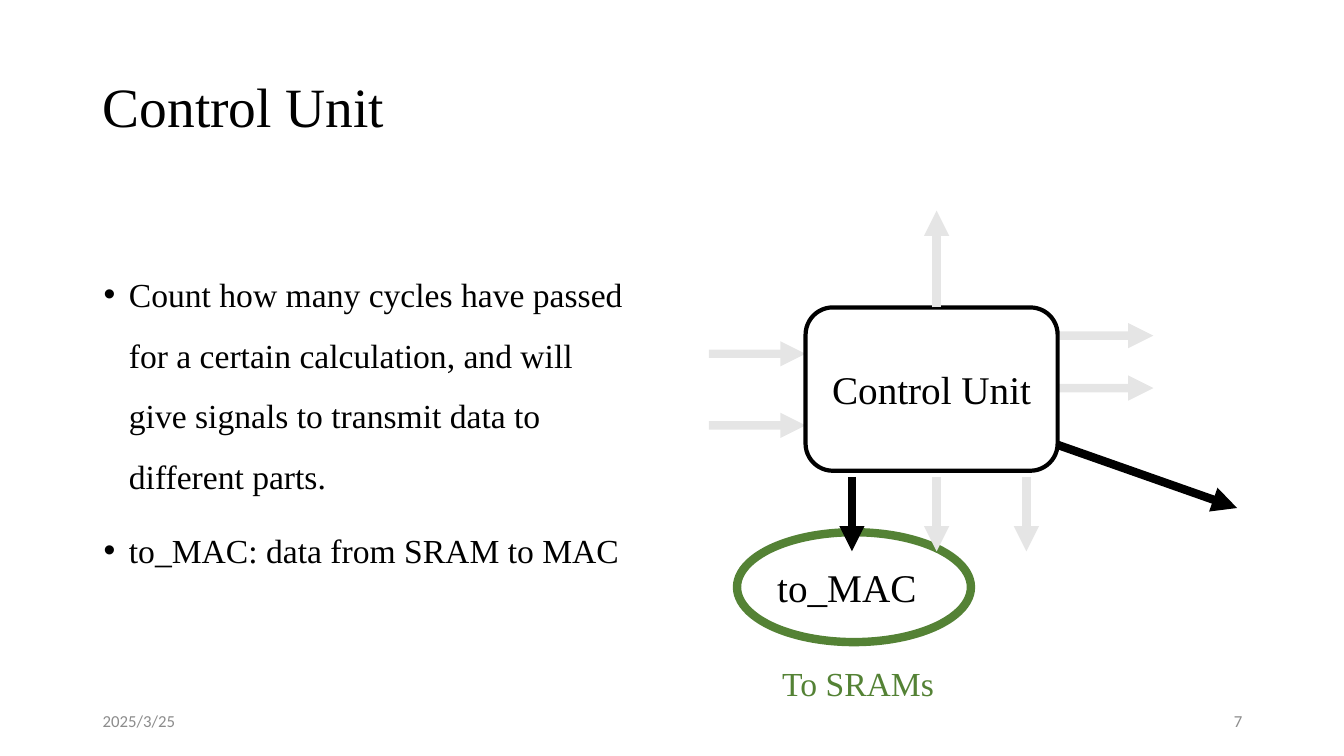
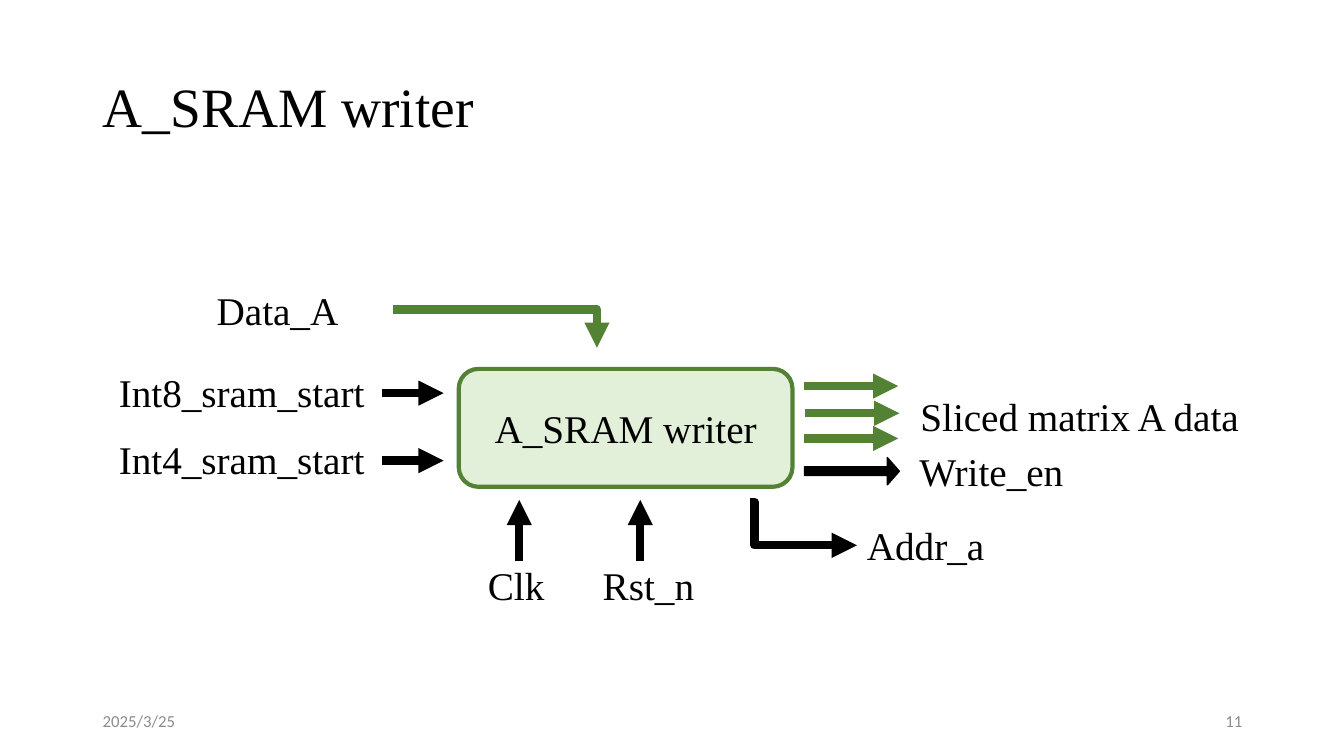
from lxml.etree import SubElement
from pptx import Presentation
from pptx.dml.color import RGBColor
from pptx.enum.shapes import MSO_CONNECTOR as Connector, MSO_SHAPE as Shape
from pptx.enum.text import MSO_ANCHOR as Anchor, PP_ALIGN as Align
from pptx.oxml.ns import qn
from pptx.util import Inches, Pt

BLACK, WHITE, GREY = "000000", "FFFFFF", "8C8C8C"
GREEN, PALE_GREEN, FADED = "548235", "E2F0D9", "E5E5E5"
SERIF, SANS = "Times New Roman", "Calibri"
DATE = "2025/3/25"
MARGIN, CONTENT_WIDTH, FOOTER_WIDTH = 0.92, 11.5, 3


def rgb(value):
    """Turn a hex string into a colour."""
    return RGBColor.from_string(value)


def inches(*lengths):
    """Convert several lengths to inches."""
    return [Inches(length) for length in lengths]


def add_run(para, text, size=28, color=BLACK, font=SERIF):
    """Add one styled run to a paragraph."""
    span = para.add_run()
    span.text = text
    span.font.size = Pt(size)
    span.font.name = font
    span.font.color.rgb = rgb(color)


def add_text(page, at, text, anchor=Anchor.TOP, align=Align.LEFT, spacing=None, **style):
    """Add a wrapping text box with one paragraph."""
    frame = page.shapes.add_textbox(*inches(*at)).text_frame
    frame.word_wrap = True
    frame.vertical_anchor = anchor
    para = frame.paragraphs[0]
    para.alignment = align
    para.line_spacing = spacing
    add_run(para, text, **style)


def add_bullets(page, at, items):
    """Add a text box with a bulleted list."""
    frame = page.shapes.add_textbox(*inches(*at)).text_frame
    frame.word_wrap = True
    for index, item in enumerate(items):
        para = frame.add_paragraph() if index else frame.paragraphs[0]
        para.line_spacing = 1.5
        para.space_before = Pt(10)
        props = para._p.get_or_add_pPr()
        props.set("marL", str(Inches(0.25)))
        props.set("indent", str(Inches(-0.25)))
        SubElement(props, qn("a:buFont"), typeface="Arial")
        SubElement(props, qn("a:buChar"), char="•")
        add_run(para, item, size=24)


def add_block(page, kind, at, line, width, fill=None, text=None):
    """Add an outlined shape, with centred text if given."""
    block = page.shapes.add_shape(kind, *inches(*at))
    block.shadow.inherit = False
    block.line.color.rgb = rgb(line)
    block.line.width = Pt(width)
    if fill:
        block.fill.solid()
        block.fill.fore_color.rgb = rgb(fill)
    else:
        block.fill.background()
    if text:
        frame = block.text_frame
        frame.word_wrap = True
        frame.vertical_anchor = Anchor.MIDDLE
        frame.paragraphs[0].alignment = Align.CENTER
        add_run(frame.paragraphs[0], text)
    return block


def add_arrow(page, start, end, color=BLACK, opacity=None, bend=None):
    """Add a thick arrow, bent at a share of its width if given."""
    kind = Connector.STRAIGHT if bend is None else Connector.ELBOW
    arrow = page.shapes.add_connector(kind, *inches(*start, *end))
    arrow.line.color.rgb = rgb(color)
    arrow.line.width = Pt(6)
    props = arrow._element.spPr
    line = arrow.line._get_or_add_ln()
    if opacity is not None:
        tint = line.find(".//" + qn("a:srgbClr"))
        SubElement(tint, qn("a:alpha"), val=str(opacity * 1000))
    SubElement(line, qn("a:tailEnd"), type="triangle")
    SubElement(props, qn("a:effectLst"))
    if bend is not None:
        guides = props.find(".//" + qn("a:avLst"))
        SubElement(guides, qn("a:gd"), name="adj1", fmla=f"val {round(bend * 100000)}")


def add_page(deck, title, number):
    """Add a blank page with its title, date and page number."""
    page = deck.slides.add_slide(deck.slide_layouts[6])
    add_text(page, (MARGIN, 0.4, CONTENT_WIDTH, 0.95), title, Anchor.MIDDLE, spacing=1.5, size=39.6)
    number_left = MARGIN + CONTENT_WIDTH - FOOTER_WIDTH
    for left, text, align in ((MARGIN, DATE, Align.LEFT), (number_left, number, Align.RIGHT)):
        add_text(page, (left, 6.95, FOOTER_WIDTH, 0.4), text, Anchor.MIDDLE, align,
                 size=12, color=GREY, font=SANS)
    return page


def build_control_unit(deck):
    """Build the page on the control unit and its signals."""
    page = add_page(deck, "Control Unit", "7")
    add_block(page, Shape.ROUNDED_RECTANGLE, (7.99, 3.05, 2.5, 1.62), BLACK, 3, WHITE, "Control Unit")
    for left, top in ((7.03, 3.51), (7.03, 4.22), (10.48, 3.33), (10.48, 3.85)):
        add_arrow(page, (left, top), (left + 0.96, top), opacity=10)
    add_arrow(page, (9.29, 3.05), (9.29, 2.09), FADED)
    add_arrow(page, (10.48, 4.41), (12.27, 5.04))
    add_text(page, (7.66, 6.53, 1.75, 0.5), "To SRAMs", size=24, color=GREEN)
    add_block(page, Shape.OVAL, (7.31, 5.28, 2.32, 1.09), GREEN, 6)
    add_text(page, (7.61, 5.54, 2.19, 0.57), "to_MAC")
    for left, color in ((8.45, BLACK), (9.29, FADED), (10.18, FADED)):
        add_arrow(page, (left, 4.73), (left, 5.47), color)
    add_bullets(page, (0.93, 2.47, 5.49, 3.47), (
        "Count how many cycles have passed for a certain calculation, "
        "and will give signals to transmit data to different parts.",
        "to_MAC: data from SRAM to MAC",
    ))


def build_sram_writer(deck):
    """Build the page on the SRAM writer and its ports."""
    page = add_page(deck, "A_SRAM writer", "11")
    add_block(page, Shape.ROUNDED_RECTANGLE, (4.55, 3.66, 3.31, 1.17), GREEN, 3, PALE_GREEN,
              "A_SRAM writer")
    write_arrow = add_block(page, Shape.RIGHT_ARROW, (7.98, 4.54, 0.94, 0.27), BLACK, 1, BLACK)
    write_arrow.adjustments[0] = 0.32
    write_arrow.adjustments[1] = 0.44
    add_arrow(page, (3.9, 3.07), (5.92, 3.45), GREEN, bend=1)
    add_arrow(page, (7.44, 4.98), (8.5, 5.41), bend=0.04)
    for left, top in ((7.97, 3.83), (7.98, 4.1), (7.97, 4.35)):
        add_arrow(page, (left, top), (left + 0.94, top), GREEN)
    for left in (5.15, 6.35):
        add_arrow(page, (left, 5.57), (left, 4.96))
    for top in (3.9, 4.57):
        add_arrow(page, (3.79, top), (4.4, top))
    labels = (
        ("Data_A", 2.05, 2.79, 1.85),
        ("Int8_sram_start", 1.08, 3.6, 2.82),
        ("Int4_sram_start", 1.08, 4.27, 2.82),
        ("Sliced matrix A data", 9.03, 3.84, 3.61),
        ("Write_en", 9.02, 4.39, 1.86),
        ("Addr_a", 8.5, 5.12, 1.86),
        ("Clk", 4.74, 5.52, 0.86),
        ("Rst_n", 5.88, 5.52, 1.24),
    )
    for text, left, top, width in labels:
        add_text(page, (left, top, width, 0.57), text)


def main():
    """Build the deck and save it."""
    deck = Presentation()
    deck.slide_width, deck.slide_height = inches(13.33, 7.5)
    build_control_unit(deck)
    build_sram_writer(deck)
    deck.save("out.pptx")


if __name__ == "__main__":
    main()
